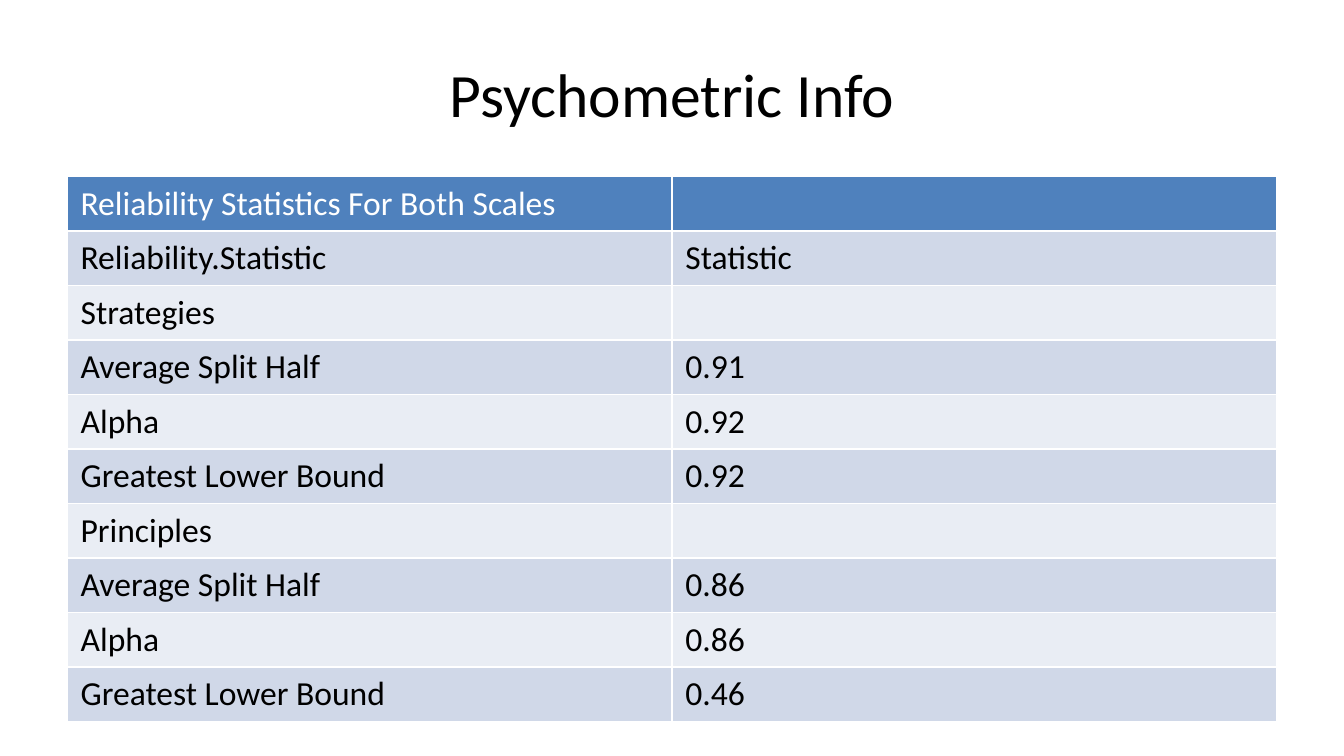
from dataclasses import dataclass

from lxml import etree
from pptx import Presentation
from pptx.dml.color import RGBColor
from pptx.enum.text import MSO_ANCHOR, PP_ALIGN
from pptx.oxml.ns import qn
from pptx.util import Pt

MIDDLE = MSO_ANCHOR.MIDDLE
CENTER, LEFT = PP_ALIGN.CENTER, PP_ALIGN.LEFT
TITLE_ONLY = 5


@dataclass(frozen=True)
class Theme:
    font: str = "Calibri"
    title_size: float = 33
    table_size: float = 18
    ink: str = "000000"
    paper: str = "FFFFFF"
    header: str = "4F81BD"
    bands: tuple = ("D0D8E8", "E9EDF4")
    rule: float = 1


class SlideBuilder:
    def __init__(self, slide, theme):
        self.slide = slide
        self.theme = theme

    def set_text(self, tf, text, size, color, align):
        tf.text = text
        for p in tf.paragraphs:
            p.alignment = align
            for r in p.runs:
                r.font.name = self.theme.font
                r.font.size = Pt(size)
                r.font.bold = False
                r.font.color.rgb = RGBColor.from_string(color)

    def title(self, text, left, top, width, height):
        sp = self.slide.shapes.title
        sp.left, sp.top, sp.width, sp.height = map(Pt, (left, top, width, height))
        tf = sp.text_frame
        tf.vertical_anchor = MIDDLE
        self.set_text(tf, text, self.theme.title_size, self.theme.ink, CENTER)

    def borders(self, cell):
        tc_pr = cell._tc.get_or_add_tcPr()
        for side in ("a:lnL", "a:lnR", "a:lnT", "a:lnB"):
            ln = etree.SubElement(tc_pr, qn(side), w=str(Pt(self.theme.rule)))
            fill = etree.SubElement(ln, qn("a:solidFill"))
            etree.SubElement(fill, qn("a:srgbClr"), val=self.theme.paper)

    def table(self, rows, left, top, width, row_height):
        t = self.theme
        frame = self.slide.shapes.add_table(
            len(rows), len(rows[0]), Pt(left), Pt(top),
            Pt(width), Pt(row_height * len(rows)))
        table = frame.table
        for i, values in enumerate(rows):
            table.rows[i].height = Pt(row_height)
            # Header row first, then alternating bands
            back = t.bands[(i - 1) % 2] if i else t.header
            color = t.ink if i else t.paper
            for j, value in enumerate(values):
                cell = table.cell(i, j)
                self.borders(cell)
                cell.fill.solid()
                cell.fill.fore_color.rgb = RGBColor.from_string(back)
                self.set_text(cell.text_frame, value, t.table_size, color, LEFT)


# Presentation
prs = Presentation()
prs.slide_width, prs.slide_height = Pt(720), Pt(405)
slide = SlideBuilder(prs.slides.add_slide(prs.slide_layouts[TITLE_ONLY]), Theme())

# Title
slide.title("Psychometric Info", 36, 16.2, 648, 67.5)

# Reliability table
reliability = [
    ("Reliability Statistics For Both Scales", ""),
    ("Reliability.Statistic", "Statistic"),
    ("Strategies", ""),
    ("Average Split Half", "0.91"),
    ("Alpha", "0.92"),
    ("Greatest Lower Bound", "0.92"),
    ("Principles", ""),
    ("Average Split Half", "0.86"),
    ("Alpha", "0.86"),
    ("Greatest Lower Bound", "0.46"),
]
slide.table(reliability, 36, 94.5, 648, 29.16)

prs.save("out.pptx")
